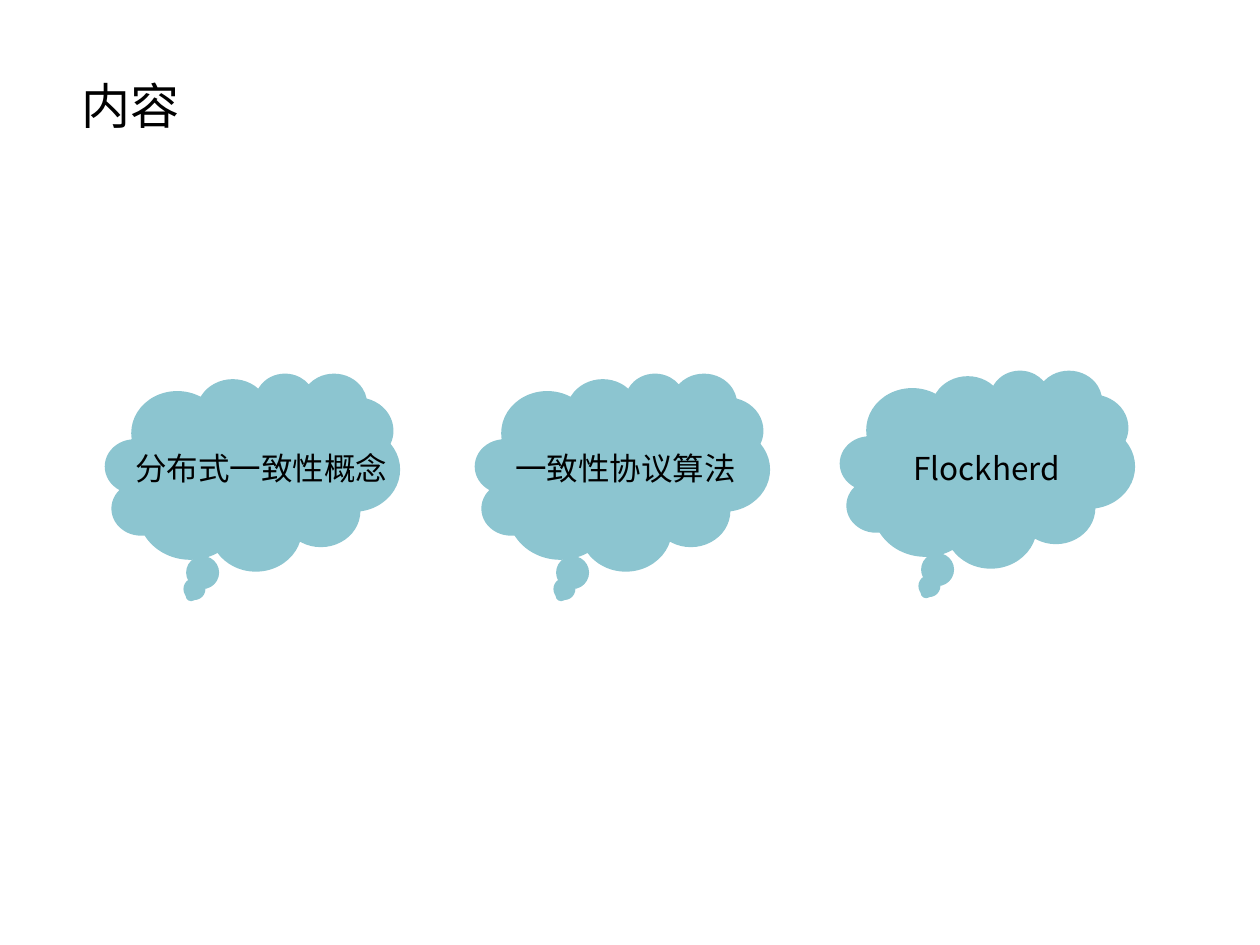
import pptx
import pptx.util
import pptx.dml.color
import pptx.enum.shapes
import pptx.enum.text
import pptx.oxml
import pptx.oxml.ns

PX = 914400 // 126
FONT = "Noto Sans CJK SC"
INK, CLOUD_FILL = "000000", "8CC5D0"
CLOUD_SIZE = (295, 198)
CLOUD_TAIL = (-0.208, 0.625)
LABEL_TOP, LABEL_HEIGHT = 443, 50

HEADING = "内容"
HEADING_BOX = (69, 69, 403, 72)
# topic, cloud left, cloud top, label left, label width
TOPICS = [
    ("分布式一致性概念", 105, 373, 123, 277),
    ("一致性协议算法", 475, 373, 503, 246),
    ("Flockherd", 840, 370, 901, 184),
]


def px(*lengths):
    return [pptx.util.Emu(length * PX) for length in lengths]


def color(hex_string):
    return pptx.dml.color.RGBColor.from_string(hex_string)


def write(shape, text, size, anchor, wrap):
    frame = shape.text_frame
    frame.text = text
    frame_format = {
        "word_wrap": wrap,
        "vertical_anchor": anchor,
        "auto_size": pptx.enum.text.MSO_AUTO_SIZE.SHAPE_TO_FIT_TEXT,
    }
    for name, value in frame_format.items():
        setattr(frame, name, value)
    paragraph = frame.paragraphs[0]
    paragraph.alignment = pptx.enum.text.PP_ALIGN.LEFT
    font = paragraph.runs[0].font
    for name, value in {"size": pptx.util.Pt(size), "name": FONT}.items():
        setattr(font, name, value)
    font.color.rgb = color(INK)
    # Chinese glyphs take their typeface from a:ea
    east_asian = pptx.oxml.parse_xml(
        f'<a:ea {pptx.oxml.ns.nsdecls("a")} typeface="{FONT}"/>')
    paragraph.runs[0]._r.rPr.append(east_asian)


def add_cloud(slide, left, top):
    cloud = slide.shapes.add_shape(
        pptx.enum.shapes.MSO_SHAPE.CLOUD_CALLOUT, *px(left, top, *CLOUD_SIZE))
    for index, value in enumerate(CLOUD_TAIL):
        cloud.adjustments[index] = value
    cloud.shadow.inherit = False
    cloud.fill.solid()
    cloud.fill.fore_color.rgb = color(CLOUD_FILL)
    cloud.line.fill.background()


def main():
    deck = pptx.Presentation()
    deck.slide_width, deck.slide_height = px(1260, 945)
    slide = deck.slides.add_slide(deck.slide_layouts[5])
    anchors = pptx.enum.text.MSO_ANCHOR

    heading = slide.shapes.title
    heading.left, heading.top, heading.width, heading.height = px(*HEADING_BOX)
    write(heading, HEADING, 28, anchors.TOP, True)

    for topic, cloud_left, cloud_top, label_left, label_width in TOPICS:
        add_cloud(slide, cloud_left, cloud_top)
        label = slide.shapes.add_textbox(
            *px(label_left, LABEL_TOP, label_width, LABEL_HEIGHT))
        write(label, topic, 18, anchors.MIDDLE, False)

    deck.save("out.pptx")


if __name__ == "__main__":
    main()
